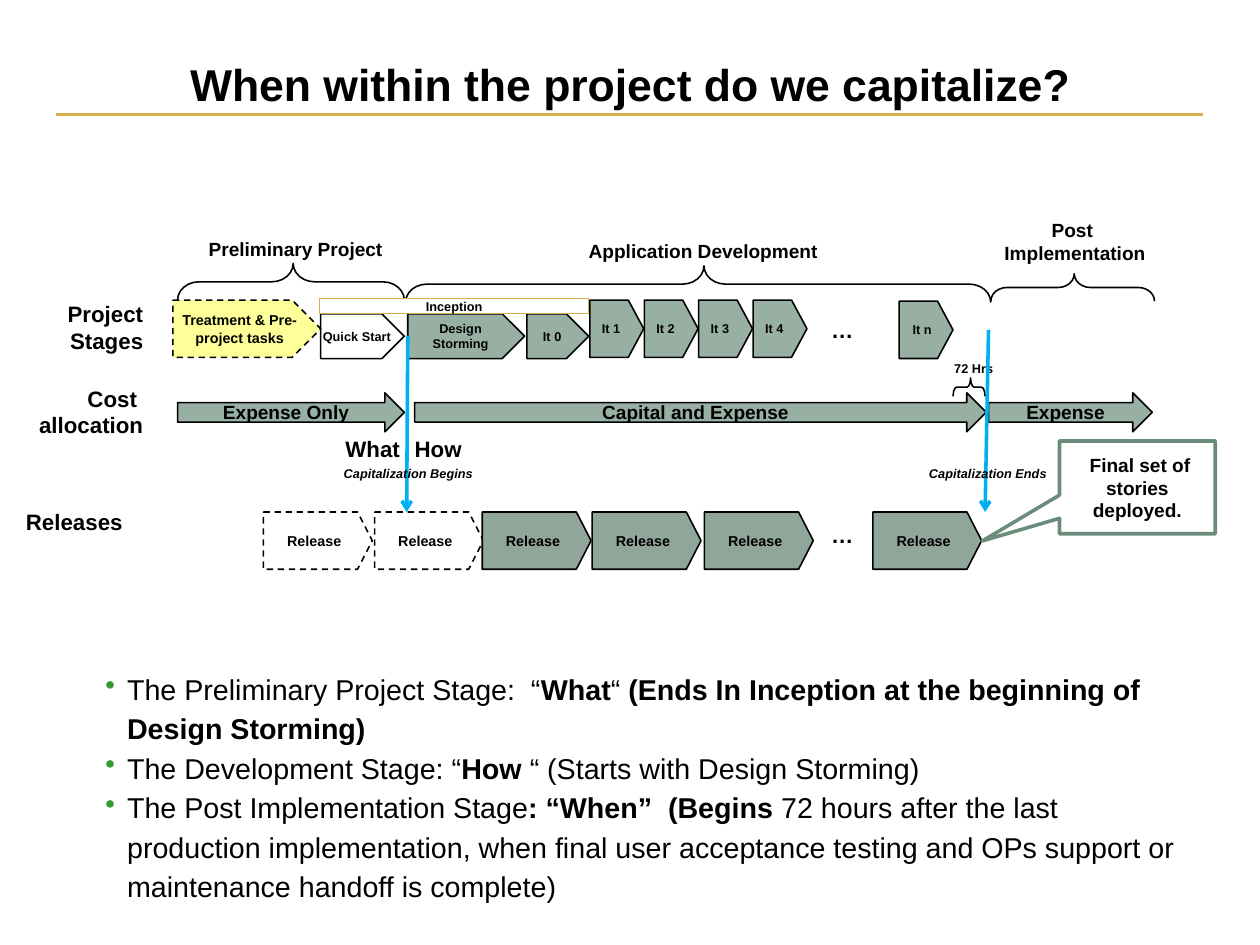
from lxml import etree
from pptx import Presentation
from pptx import util as u
from pptx.dml.color import RGBColor
from pptx.enum import dml, shapes, text
from pptx.oxml.ns import qn

BLACK, WHITE, SAGE, RELEASE = "000000", "FFFFFF", "98B0A4", "91A69B"
YELLOW, GOLD, BLUE, MOSS, BULLET = "FFFF99", "D8AF4A", "00B0F0", "6B8B7B", "339933"
SHAPE = shapes.MSO_SHAPE
LEFT, CENTER, RIGHT = text.PP_ALIGN.LEFT, text.PP_ALIGN.CENTER, text.PP_ALIGN.RIGHT
TOP, MIDDLE, BOTTOM = text.MSO_ANCHOR.TOP, text.MSO_ANCHOR.MIDDLE, text.MSO_ANCHOR.BOTTOM
PADDED = (0.1, 0.05, 0.1, 0.05)
NO_INSET = (0, 0, 0, 0)


def color(hex_string):
    """Return the colour for a hex string."""
    return RGBColor.from_string(hex_string)


def inches(*lengths):
    """Convert several lengths to Inches."""
    return [u.Inches(length) for length in lengths]


def style_font(paragraph, size, bold=True, italic=False):
    """Set the paragraph's font in black Arial."""
    font = paragraph.font
    font.name, font.size, font.bold, font.italic = "Arial", u.Pt(size), bold, italic
    font.color.rgb = color(BLACK)


def set_frame(frame, insets, anchor, wrap):
    """Set the insets, anchor and wrapping of a text frame."""
    (frame.margin_left, frame.margin_top,
     frame.margin_right, frame.margin_bottom) = inches(*insets)
    frame.vertical_anchor, frame.word_wrap = anchor, wrap


def write(frame, words, size, align=CENTER, insets=PADDED, anchor=MIDDLE,
          wrap=True, italic=False):
    """Fill a text frame, one paragraph for each line of words."""
    set_frame(frame, insets, anchor, wrap)
    frame.text = words
    for paragraph in frame.paragraphs:
        paragraph.alignment = align
        style_font(paragraph, size, italic=italic)


def add_label(slide, box, words, size, align=RIGHT, wrap=False, italic=False):
    """Add bold text without fill or line."""
    label = slide.shapes.add_textbox(*inches(*box))
    write(label.text_frame, words, size, align, anchor=TOP, wrap=wrap, italic=italic)


def add_figure(slide, kind, box, fill=None, line=BLACK, weight=1, dashed=False,
               adjustments=()):
    """Add a preset shape with its fill, outline and adjustments."""
    shape = slide.shapes.add_shape(kind, *inches(*box))
    shape.shadow.inherit = False
    if fill:
        shape.fill.solid()
        shape.fill.fore_color.rgb = color(fill)
    else:
        shape.fill.background()
    shape.line.color.rgb, shape.line.width = color(line), u.Pt(weight)
    if dashed:
        shape.line.dash_style = dml.MSO_LINE.DASH
    for index, value in enumerate(adjustments):
        shape.adjustments[index] = value
    return shape


def add_plate(slide, box, words, size, fill, point=0.5, dashed=False, insets=NO_INSET):
    """Add a pentagon that points right."""
    plate = add_figure(slide, SHAPE.PENTAGON, box, fill, dashed=dashed, adjustments=[point])
    write(plate.text_frame, words, size, insets=insets)


def add_brace(slide, box, curve=0.586, tip=0.51):
    """Add a brace that opens downward and fills the box as seen."""
    left, top, width, height = box
    middle_x, middle_y = left + width / 2, top + height / 2
    upright = (middle_x - height / 2, middle_y - width / 2, height, width)
    brace = add_figure(slide, SHAPE.RIGHT_BRACE, upright, adjustments=[curve, tip])
    brace.rotation = 270


def add_line(slide, start, end, line, weight, arrow=False):
    """Add a straight line, with an arrowhead at its end if wanted."""
    connector = slide.shapes.add_connector(
        shapes.MSO_CONNECTOR.STRAIGHT, *inches(*start, *end))
    connector.line.color.rgb, connector.line.width = color(line), u.Pt(weight)
    properties = connector._element.spPr
    if arrow:
        etree.SubElement(properties.find(qn("a:ln")), qn("a:tailEnd"), type="arrow")
    etree.SubElement(properties, qn("a:effectLst"))


def build_title(slide, left, top, width):
    """Place the title and the rule below it."""
    add_line(slide, (left, top + 0.5), (left + width, top + 0.5), GOLD, 2)
    title = slide.shapes.add_textbox(*inches(left + 0.26, top, width - 0.51, 0.48))
    write(title.text_frame, "When within the project do we capitalize?", 28,
          insets=(0, 0, 0, 0.02), anchor=BOTTOM)


def build_phases(slide, left, top):
    """Place the three phase names and their braces."""
    add_brace(slide, (left, top + 0.44, 1.98, 0.32))
    add_brace(slide, (left + 1.99, top + 0.46, 5.11, 0.32))
    add_brace(slide, (left + 7.1, top + 0.53, 1.43, 0.24))
    add_label(slide, (left + 0.16, top + 0.16, 1.73, 0.3), "Preliminary Project", 12)
    add_label(slide, (left + 3.48, top + 0.18, 2.22, 0.3), "Application Development", 12, CENTER)
    add_label(slide, (left + 7.11, top, 1.45, 0.5), "Post \nImplementation", 12, CENTER)


def build_stages(slide, left, top):
    """Place the row of project stages."""
    add_label(slide, (left - 1.03, top - 0.05, 0.87, 0.57), "Project\nStages", 14)
    add_plate(slide, (left, top, 1.29, 0.5), "Treatment & Pre-project tasks", 9, YELLOW,
              dashed=True)
    for offset, width, words, fill, insets in (
            (1.29, 0.73, "Quick Start", None, NO_INSET),
            (2.05, 1.02, "Design Storming", SAGE, PADDED),
            (3.09, 0.54, "It 0", SAGE, NO_INSET)):
        add_plate(slide, (left + offset, top + 0.12, width, 0.39), words, 8, fill, insets=insets)
    inception = add_figure(slide, SHAPE.RECTANGLE, (left + 1.28, top - 0.01, 2.35, 0.13),
                           WHITE, GOLD, 0.75)
    write(inception.text_frame, "Inception", 8)
    for index, words in enumerate(("It 1 ", "It 2 ", "It 3 ", "It 4 ")):
        add_plate(slide, (left + 3.64 + 0.475 * index, top, 0.47, 0.5), words, 8, SAGE, 0.286)
    add_label(slide, (left + 5.64, top + 0.09, 0.4, 0.34), "…", 14)
    add_plate(slide, (left + 6.34, top + 0.01, 0.47, 0.5), "It n", 8, SAGE, 0.286)


def build_costs(slide, left, top):
    """Place the row of cost allocation arrows."""
    add_label(slide, (left - 1.34, top - 0.12, 1.14, 0.58), "Cost \nallocation", 14)
    for offset, width, words, inset in ((0, 1.98, "Expense Only", 0.25),
                                        (2.07, 4.99, "Capital and Expense", 0.25),
                                        (7.08, 1.43, "Expense", 0)):
        arrow = add_figure(slide, SHAPE.RIGHT_ARROW, (left + offset, top, width, 0.34), SAGE)
        write(arrow.text_frame, words, 12, insets=(inset, 0.05, inset, 0.05))
    add_brace(slide, (left + 6.77, top - 0.13, 0.28, 0.16), 0.197, 0.548)
    add_label(slide, (left + 6.67, top - 0.33, 0.55, 0.24), "72 Hrs", 8)


def build_limits(slide, left, top):
    """Place the arrows that mark where capitalization begins and ends."""
    add_line(slide, (left + 0.82, top + 0.05), (left + 0.81, top + 1.59), BLUE, 2.25, True)
    add_line(slide, (left + 5.89, top), (left + 5.86, top + 1.59), BLUE, 2.25, True)
    add_label(slide, (left + 0.17, top + 0.87, 0.68, 0.34), "What", 14)
    add_label(slide, (left + 0.77, top + 0.87, 0.62, 0.34), "How", 14)
    for offset, words in ((0, "Capitalization Begins"), (5.06, "Capitalization Ends")):
        add_label(slide, (left + offset, top + 1.14, 1.65, 0.24), words, 8, CENTER, True, True)


def build_releases(slide, left, top):
    """Place the row of releases and the callout on the last one."""
    add_label(slide, (left - 2.2, top - 0.08, 1.07, 0.34), "Releases", 14)
    for offset, planned in ((0, True), (0.97, True), (1.91, False), (2.87, False),
                            (3.85, False), (5.32, False)):
        add_plate(slide, (left + offset, top, 0.95, 0.5), "Release", 9,
                  WHITE if planned else RELEASE, 0.256, planned, (0, 0.05, 0, 0.05))
    add_label(slide, (left + 4.85, top + 0.03, 0.4, 0.34), "…", 14)
    callout = add_figure(slide, SHAPE.RECTANGULAR_CALLOUT, (left + 6.95, top - 0.62, 1.36, 0.81),
                         line=MOSS, weight=2.25, adjustments=[-0.995, 0.577])
    write(callout.text_frame, " Final set of stories deployed.", 12)


def build_summary(slide, box):
    """Place the bulleted summary; each run is its words and whether they are bold."""
    points = (
        (("The Preliminary Project Stage:  “", False), ("What", True), ("“", False),
         (" (Ends In Inception at the beginning of Design Storming)", True)),
        (("The Development Stage: “", False), ("How ", True),
         ("“ (Starts with Design Storming)", False)),
        (("The Post Implementation Stage", False), (": “When”  (Begins ", True),
         ("72 hours after the last production implementation, when final user acceptance "
          "testing and OPs support or maintenance handoff is complete)", False)))
    frame = slide.shapes.add_textbox(*inches(*box)).text_frame
    set_frame(frame, NO_INSET, TOP, True)
    for index, runs in enumerate(points):
        paragraph = frame.add_paragraph() if index else frame.paragraphs[0]
        paragraph.alignment, paragraph.line_spacing = LEFT, 1.15
        style_font(paragraph, 18, False)
        properties = paragraph._p.get_or_add_pPr()
        properties.set("marL", str(u.Inches(0.45)))
        properties.set("indent", str(u.Inches(-0.19)))
        bullet_color = etree.Element(qn("a:buClr"))
        etree.SubElement(bullet_color, qn("a:srgbClr"), val=BULLET)
        bullet = etree.Element(qn("a:buChar"), char="•")
        defaults = properties.find(qn("a:defRPr"))
        defaults.addprevious(bullet_color)
        defaults.addprevious(bullet)
        for words, bold in runs:
            run = paragraph.add_run()
            run.text, run.font.bold = words, bold


presentation = Presentation()
presentation.slide_width, presentation.slide_height = inches(11, 8.25)
slide = presentation.slides.add_slide(presentation.slide_layouts[6])
build_title(slide, 0.49, 0.5, 10.01)
build_phases(slide, 1.55, 1.86)
build_stages(slide, 1.51, 2.62)
build_costs(slide, 1.55, 3.43)
build_limits(slide, 2.74, 2.88)
build_releases(slide, 2.3, 4.47)
build_summary(slide, (0.66, 5.82, 9.63, 2.43))
presentation.save("out.pptx")
